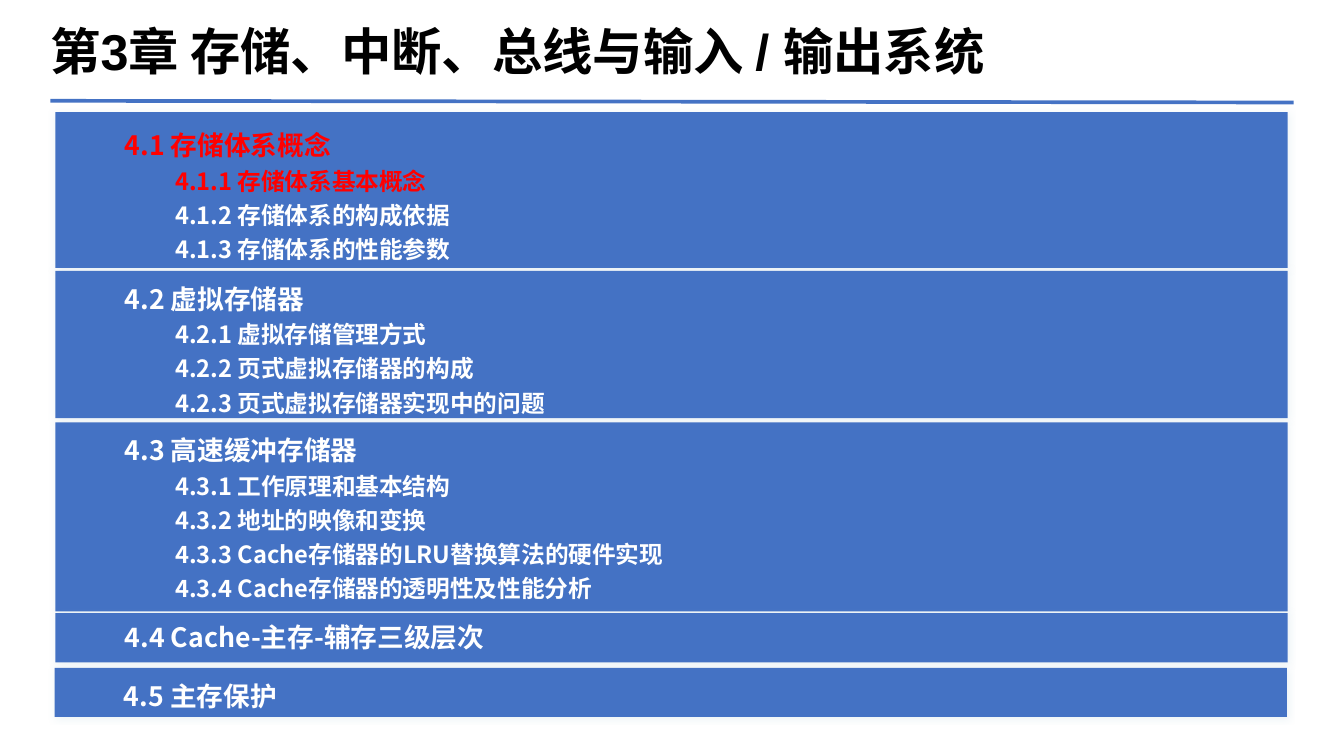
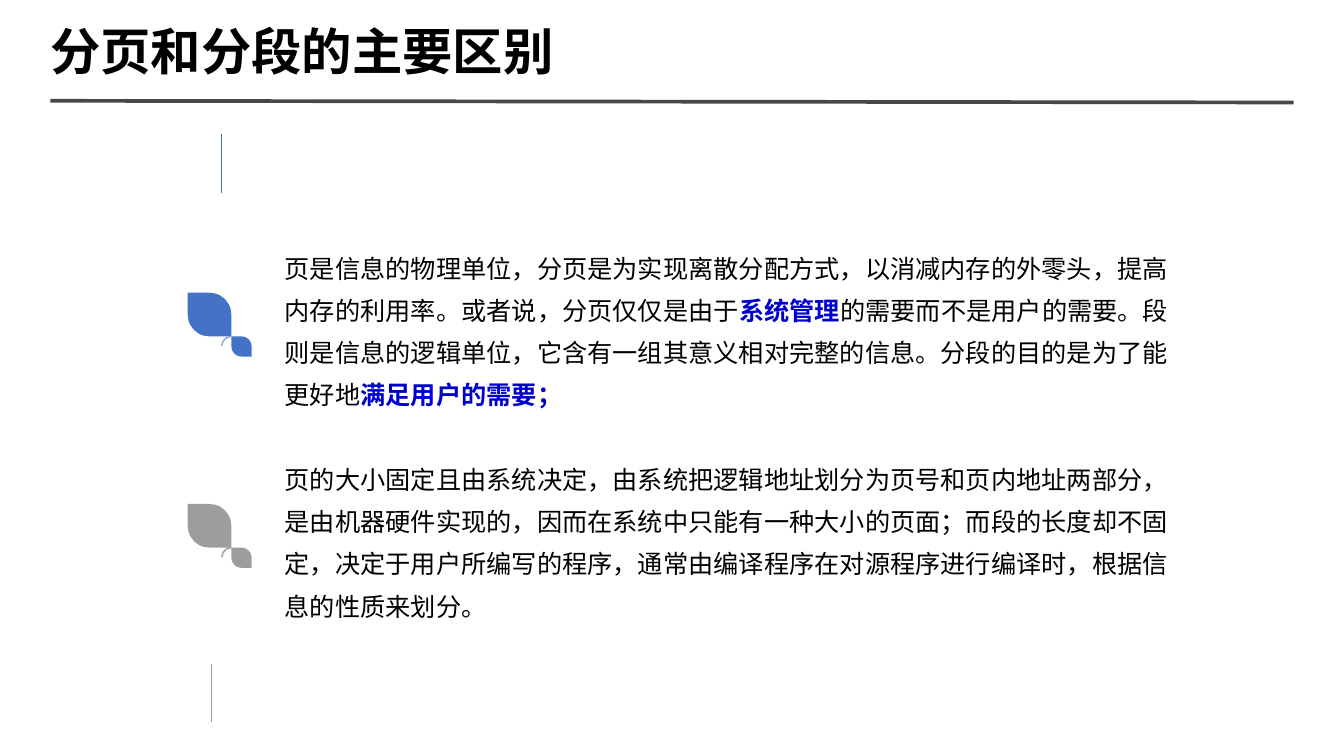
import pptx
import pptx.dml.color
import pptx.enum.shapes
import pptx.enum.text
import pptx.oxml
import pptx.oxml.ns
import pptx.util
from lxml import etree

Cm = pptx.util.Cm
Pt = pptx.util.Pt
RGBColor = pptx.dml.color.RGBColor
MSO_SHAPE = pptx.enum.shapes.MSO_SHAPE
MSO_ANCHOR = pptx.enum.text.MSO_ANCHOR
qn = pptx.oxml.ns.qn

COLORS = {
    "blue": "4472C4", "light_blue": "8FAADC", "gray": "9D9D9D", "light_gray": "A5A5A5",
    "dark": "484849", "black": "000000", "white": "FFFFFF", "red": "FF0000",
    "emphasis": "0000CC",
}
COLORS = {name: RGBColor.from_string(value) for name, value in COLORS.items()}
BODY_FONT = "Noto Sans CJK SC"
PANEL_SHADOW = (
    '<a:effectLst xmlns:a="http://schemas.openxmlformats.org/drawingml/2006/main">'
    '<a:outerShdw blurRad="63500" algn="ctr" rotWithShape="0">'
    '<a:srgbClr val="7DADC4"><a:alpha val="15000"/></a:srgbClr>'
    '</a:outerShdw></a:effectLst>'
)


def add_text(slide, left, top, width, height, lines, font=BODY_FONT, bold=False, spacing=1.0):
    """Each line is (text, size, color, indent); parts between bars are emphasised."""
    box = slide.shapes.add_textbox(Cm(left), Cm(top), Cm(width), Cm(height))
    frame = box.text_frame
    frame.word_wrap = True
    for index, (text, size, color, indent) in enumerate(lines):
        paragraph = frame.paragraphs[0] if index == 0 else frame.add_paragraph()
        paragraph.line_spacing = spacing
        if indent:
            paragraph.level = 1
            properties = paragraph._p.get_or_add_pPr()
            properties.set("marL", str(Cm(indent)))
            properties.set("indent", "0")
        paragraph.font.size = Pt(size)
        paragraph.font.bold = bold
        paragraph.font.color.rgb = COLORS[color]
        paragraph.font.name = font
        default_run = paragraph._p.pPr.find(qn("a:defRPr"))
        etree.SubElement(default_run, qn("a:ea")).set("typeface", BODY_FONT)
        for position, part in enumerate(text.split("|")):
            if part:
                run = paragraph.add_run()
                run.text = part
                if position % 2:
                    run.font.bold = True
                    run.font.color.rgb = COLORS["emphasis"]
    return frame


def add_line(slide, start, end, color, width):
    line = slide.shapes.add_connector(
        pptx.enum.shapes.MSO_CONNECTOR.STRAIGHT, *(Cm(value) for value in start + end))
    line.line.color.rgb = COLORS[color]
    line.line.width = Pt(width)
    etree.SubElement(line._element.spPr, qn("a:effectLst"))


presentation = pptx.Presentation()
presentation.slide_width = Cm(32)
presentation.slide_height = Cm(18)

# Title and rule of every slide
slides = []
for title, rule_color in [
    ("第3章 存储、中断、总线与输入 / 输出系统", "blue"),
    ("分页和分段的主要区别", "dark"),
]:
    slide = presentation.slides.add_slide(presentation.slide_layouts[6])
    add_line(slide, (1.2, 2.4), (30.8, 2.44), rule_color, 2.5)
    frame = add_text(slide, 1.2, 0.4, 29.6, 1.6, [(title, 34, "black", 0)], "Arial", True)
    frame.vertical_anchor = MSO_ANCHOR.MIDDLE
    frame.margin_left = frame.margin_right = frame.margin_top = frame.margin_bottom = 0
    slides.append(slide)
contents_slide, comparison_slide = slides

# Contents: panel left, top, height, text top, section, subsections
sections = [
    (1.32, 2.67, 3.71, 2.79, "4.1 存储体系概念",
     ["4.1.1 存储体系基本概念", "4.1.2 存储体系的构成依据", "4.1.3 存储体系的性能参数"]),
    (1.32, 6.45, 3.51, 6.45, "4.2 虚拟存储器",
     ["4.2.1 虚拟存储管理方式", "4.2.2 页式虚拟存储器的构成",
      "4.2.3 页式虚拟存储器实现中的问题"]),
    (1.32, 10.06, 4.5, 10.06, "4.3 高速缓冲存储器",
     ["4.3.1 工作原理和基本结构", "4.3.2 地址的映像和变换",
      "4.3.3 Cache存储器的LRU替换算法的硬件实现", "4.3.4 Cache存储器的透明性及性能分析"]),
    (1.32, 14.6, 1.17, 14.5, "4.4 Cache-主存-辅存三级层次", []),
    (1.3, 15.9, 1.17, 15.9, "4.5 主存保护", []),
]
current = ("4.1 ", "4.1.1 ")
for left, top, height, text_top, section, subsections in sections:
    panel = contents_slide.shapes.add_shape(
        MSO_SHAPE.RECTANGLE, Cm(left), Cm(top), Cm(29.34), Cm(height))
    panel.fill.solid()
    panel.fill.fore_color.rgb = COLORS["blue"]
    panel.line.fill.background()
    panel._element.spPr.append(pptx.oxml.parse_xml(PANEL_SHADOW))
    entries = [(section, 18, 0)] + [(text, 16, 1.2) for text in subsections]
    lines = [(text, size, "red" if text.startswith(current) else "white", indent)
             for text, size, indent in entries]
    frame = add_text(contents_slide, left + 1.4, text_top, 16, 1.1 + len(subsections),
                     lines, bold=True, spacing=1.2)
    frame.auto_size = pptx.enum.text.MSO_AUTO_SIZE.SHAPE_TO_FIT_TEXT

# Comparison: text top, leaf color, arc color, text
differences = [
    (5.61, "blue", "light_blue",
     "页是信息的物理单位，分页是为实现离散分配方式，以消减内存的外零头，提高内存的利用率。"
     "或者说，分页仅仅是由于|系统管理|的需要而不是用户的需要。段则是信息的逻辑单位，"
     "它含有一组其意义相对完整的信息。分段的目的是为了能更好地|满足用户的需要；|"),
    (10.64, "gray", "light_gray",
     "页的大小固定且由系统决定，由系统把逻辑地址划分为页号和页内地址两部分，"
     "是由机器硬件实现的，因而在系统中只能有一种大小的页面；而段的长度却不固定，"
     "决定于用户所编写的程序，通常由编译程序在对源程序进行编译时，根据信息的性质来划分。"),
]
for top, leaf_color, arc_color, text in differences:
    add_text(comparison_slide, 6.53, top, 22, 4.32, [(text, 17, "black", 0)], spacing=1.4)
    # Large and small leaf
    for left, offset, size, rotation in [(4.47, 1.36, 1.04, 270), (5.51, 2.4, 0.48, 90)]:
        leaf = comparison_slide.shapes.add_shape(
            MSO_SHAPE.ROUND_2_DIAG_RECTANGLE, Cm(left), Cm(top + offset), Cm(size), Cm(size))
        leaf.adjustments[0] = 0.5
        leaf.adjustments[1] = 0
        leaf.rotation = rotation
        leaf.shadow.inherit = False
        leaf.fill.solid()
        leaf.fill.fore_color.rgb = COLORS[leaf_color]
        leaf.line.fill.background()
    # Stem
    stem = comparison_slide.shapes.add_shape(
        MSO_SHAPE.ARC, Cm(5.28), Cm(top + 2.4), Cm(0.46), Cm(0.46))
    stem._element.spPr.find(qn("a:xfrm")).set("flipH", "1")
    stem.shadow.inherit = False
    stem.fill.background()
    stem.line.color.rgb = COLORS[arc_color]
    stem.line.width = Pt(1)

# Upper and lower end lines
add_line(comparison_slide, (5.28, 3.2), (5.28, 4.6), "blue", 1)
add_line(comparison_slide, (5.03, 15.8), (5.03, 17.2), "gray", 1)

presentation.save("out.pptx")
